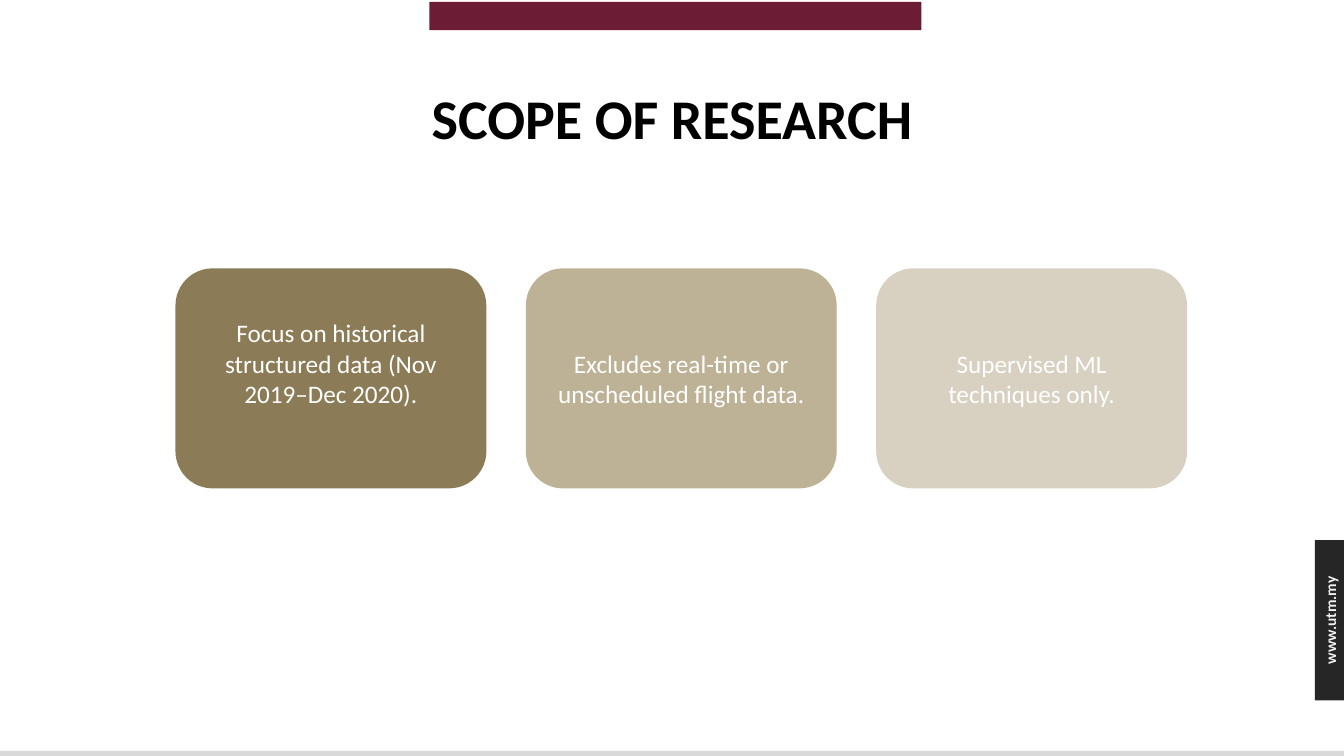
"""Build the slide on the scope of the research."""
from pptx import Presentation, util as u
from pptx.dml.color import RGBColor
from pptx.enum import shapes, text


def tint(code):
    return RGBColor.from_string(code)


class Deck:
    face = "Calibri"
    white = "FFFFFF"

    def __init__(self):
        self.show = Presentation()
        self.show.slide_width = u.Cm(33.87)
        self.show.slide_height = u.Cm(19.05)
        self.slide = self.show.slides.add_slide(self.show.slide_layouts[6])

    def fill_in(self, shape, words, size, color, bold=False):
        frame = shape.text_frame
        frame.word_wrap = True
        frame.vertical_anchor = text.MSO_ANCHOR.MIDDLE
        para = frame.paragraphs[0]
        para.text = words
        para.alignment = text.PP_ALIGN.CENTER
        font = para.font
        font.name, font.size, font.bold = self.face, u.Pt(size), bold
        font.color.rgb = tint(color)
        return para

    def block(self, box, fill, kind=shapes.MSO_SHAPE.RECTANGLE):
        shape = self.slide.shapes.add_shape(kind, *map(u.Cm, box))
        shape.shadow.inherit = False
        shape.fill.solid()
        shape.fill.fore_color.rgb = tint(fill)
        shape.line.fill.background()
        return shape

    def card(self, box, fill, words, lift=0):
        shape = self.block(box, fill, shapes.MSO_SHAPE.ROUNDED_RECTANGLE)
        shape.line.color.rgb = tint(fill)
        shape.line.width = u.Pt(1)
        self.fill_in(shape, words, 18, self.white)
        shape.text_frame.margin_bottom = u.Cm(0.13 + lift)

    def label(self, box, words, size, color, turn=0):
        shape = self.slide.shapes.add_textbox(*map(u.Cm, box))
        shape.rotation = turn
        return self.fill_in(shape, words, size, color, True)


def main():
    deck = Deck()
    deck.block((10.82, 0.05, 12.4, 0.71), "6C1D35")
    deck.block((0, 18.92, 33.87, 0.13), "D9D9D9")
    deck.block((33.14, 13.61, 0.73, 4.04), "262626")
    deck.label((31.6, 15.27, 3.84, 0.73), "www.utm.my", 11, "F2F2F2", 270)
    title = deck.label((2.33, 1.73, 29.21, 2.67), "SCOPE OF RESEARCH", 40, "000000")
    title.line_spacing = 0.9
    cards = [
        ("8B7B57", "Focus on historical structured data (Nov 2019–Dec 2020).", 0.77),
        ("BDB196", "Excludes real-time or unscheduled flight data.", 0),
        ("D8D0C0", "Supervised ML techniques only.", 0),
    ]
    for i, (fill, words, lift) in enumerate(cards):
        deck.card((4.44 + 8.83 * i, 6.78, 7.8, 5.51), fill, words, lift)
    deck.show.save("out.pptx")


if __name__ == "__main__":
    main()
